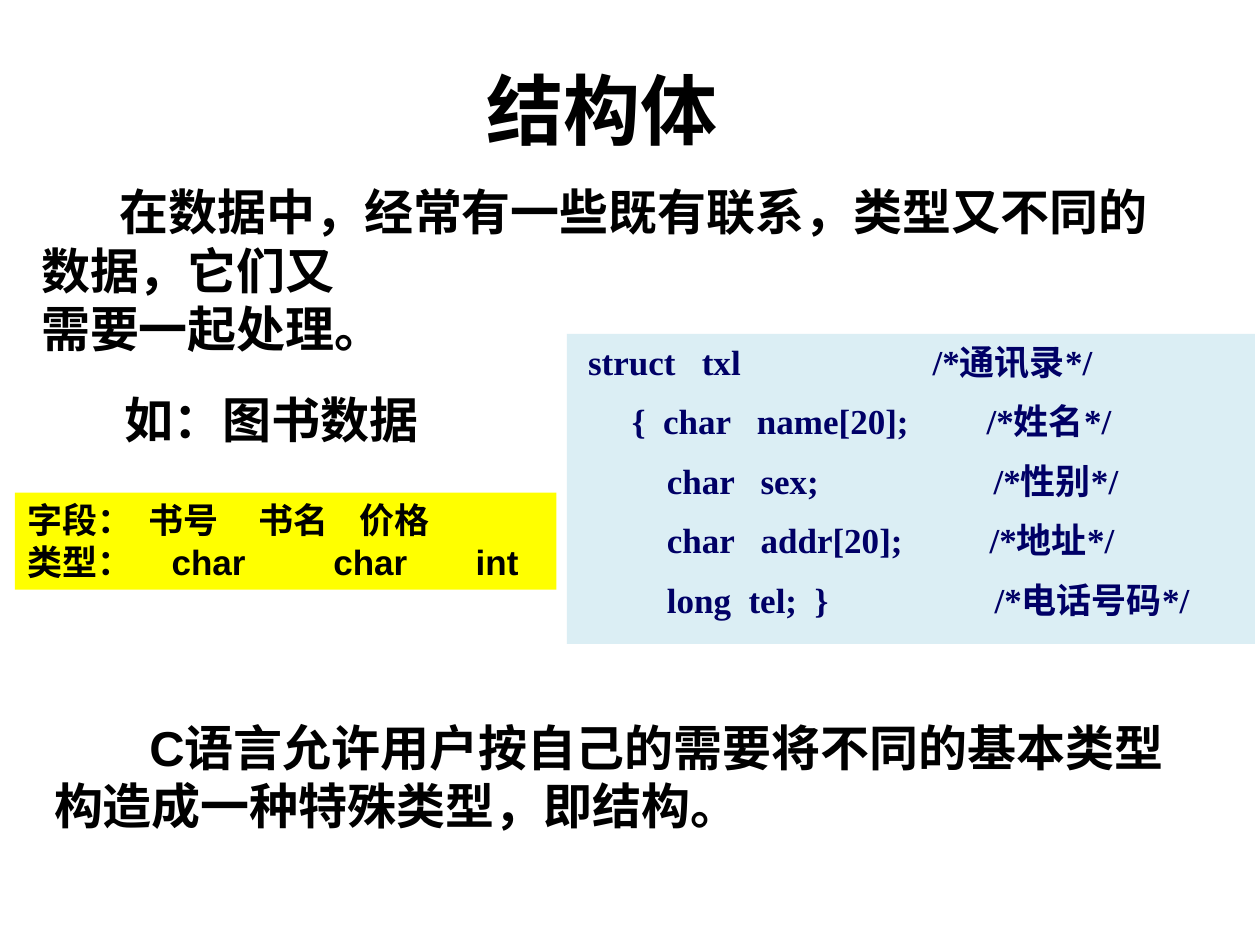
from lxml import etree
from pptx import Presentation, util as u
from pptx.dml.color import RGBColor
from pptx.enum import shapes, text
from pptx.oxml.ns import qn

COLORS = {"black": "000000", "navy": "000066", "yellow": "FFFF00",
          "ice": "DBEEF4", "white": "FFFFFF"}
CJK = "Noto Sans CJK SC"


def add_box(slide, box, fill=None, wrap=True, anchor=text.MSO_ANCHOR.TOP):
    """Add a text box, or a filled rectangle when a fill is given."""
    box = [u.Cm(v) for v in box]
    if fill:
        sp = slide.shapes.add_shape(shapes.MSO_SHAPE.RECTANGLE, *box)
        sp.shadow.inherit = False
        sp.fill.solid()
        sp.fill.fore_color.rgb = RGBColor.from_string(COLORS[fill])
        sp.line.fill.background()
    else:
        sp = slide.shapes.add_textbox(*box)
    tf = sp.text_frame
    for name, value in {"word_wrap": wrap, "vertical_anchor": anchor}.items():
        setattr(tf, name, value)
    return tf


def add_line(tf, words, size, font, color="black", align=text.PP_ALIGN.LEFT,
             indent=0, tabs=(), before=0):
    """Fill the first empty paragraph or append one; lengths in cm."""
    first = not tf.text
    p = tf.paragraphs[0] if first else tf.add_paragraph()
    p.alignment = align
    pPr = p._p.get_or_add_pPr()
    if indent:
        pPr.set("indent", str(u.Cm(indent)))
    if tabs:
        tab_list = etree.SubElement(pPr, qn("a:tabLst"))
        for pos in tabs:
            etree.SubElement(tab_list, qn("a:tab"), pos=str(u.Cm(pos)), algn="l")
    if before and not first:
        p.space_before = u.Pt(before)
    r = p.add_run()
    r.text = words
    for name, value in {"size": u.Pt(size), "bold": True, "name": font}.items():
        setattr(r.font, name, value)
    r.font.color.rgb = RGBColor.from_string(COLORS[color])
    # East Asian typeface
    etree.SubElement(r._r.get_or_add_rPr(), qn("a:ea"), typeface=CJK)


def add_title(slide, box):
    tf = add_box(slide, box, "white", anchor=text.MSO_ANCHOR.MIDDLE)
    add_line(tf, "结构体", 44, "Calibri", align=text.PP_ALIGN.CENTER)


def add_intro(slide, box):
    tf = add_box(slide, box)
    add_line(tf, "在数据中，经常有一些既有联系，类型又不同的数据，它们又", 28,
             "Times New Roman", indent=1.58)
    add_line(tf, "需要一起处理。", 28, "Times New Roman")


def add_example(slide, box):
    add_line(add_box(slide, box, wrap=False), "如：图书数据", 28, CJK)


def add_fields(slide, box):
    """Field names over their types, set on tab stops."""
    tf = add_box(slide, box, "yellow")
    rows = [("字段：\t书号\t书名\t价格", CJK, (2.45, 4.66, 6.7)),
            ("类型：\tchar\tchar\tint", "Arial", (2.91, 6.17, 9.04))]
    for words, font, tabs in rows:
        add_line(tf, words, 20, font, tabs=tabs)


def add_code(slide, box):
    """Struct declaration, each comment on its own tab stop."""
    tf = add_box(slide, box, "ice")
    rows = [(" struct   txl", "通讯录", 7.12),
            ("      {  char   name[20];", "姓名", 8.21),
            ("          char   sex;", "性别", 8.35),
            ("          char   addr[20];", "地址", 8.27),
            ("          long  tel;  }", "电话号码", 8.37)]
    for code, comment, tab in rows:
        add_line(tf, f"{code}\t/*{comment}*/", 20, "Times New Roman", "navy",
                 tabs=[tab], before=10)


def add_summary(slide, box):
    add_line(add_box(slide, box),
             "C语言允许用户按自己的需要将不同的基本类型构造成一种特殊类型，即结构。",
             28, "Arial", indent=1.92)


def main():
    prs = Presentation()
    prs.slide_width, prs.slide_height = u.Cm(25.4), u.Cm(19.05)
    s = prs.slides.add_slide(prs.slide_layouts[6])
    add_intro(s, (0.58, 3.53, 23.11, 3.84))
    add_example(s, (2.26, 7.72, 7.04, 1.45))
    add_fields(s, (0.3, 9.93, 10.92, 1.96))
    add_summary(s, (0.84, 14.33, 23.7, 2.64))
    add_title(s, (7.87, 1.4, 8.53, 1.57))
    add_code(s, (11.43, 6.73, 13.87, 6.25))
    prs.save("out.pptx")


if __name__ == "__main__":
    main()
